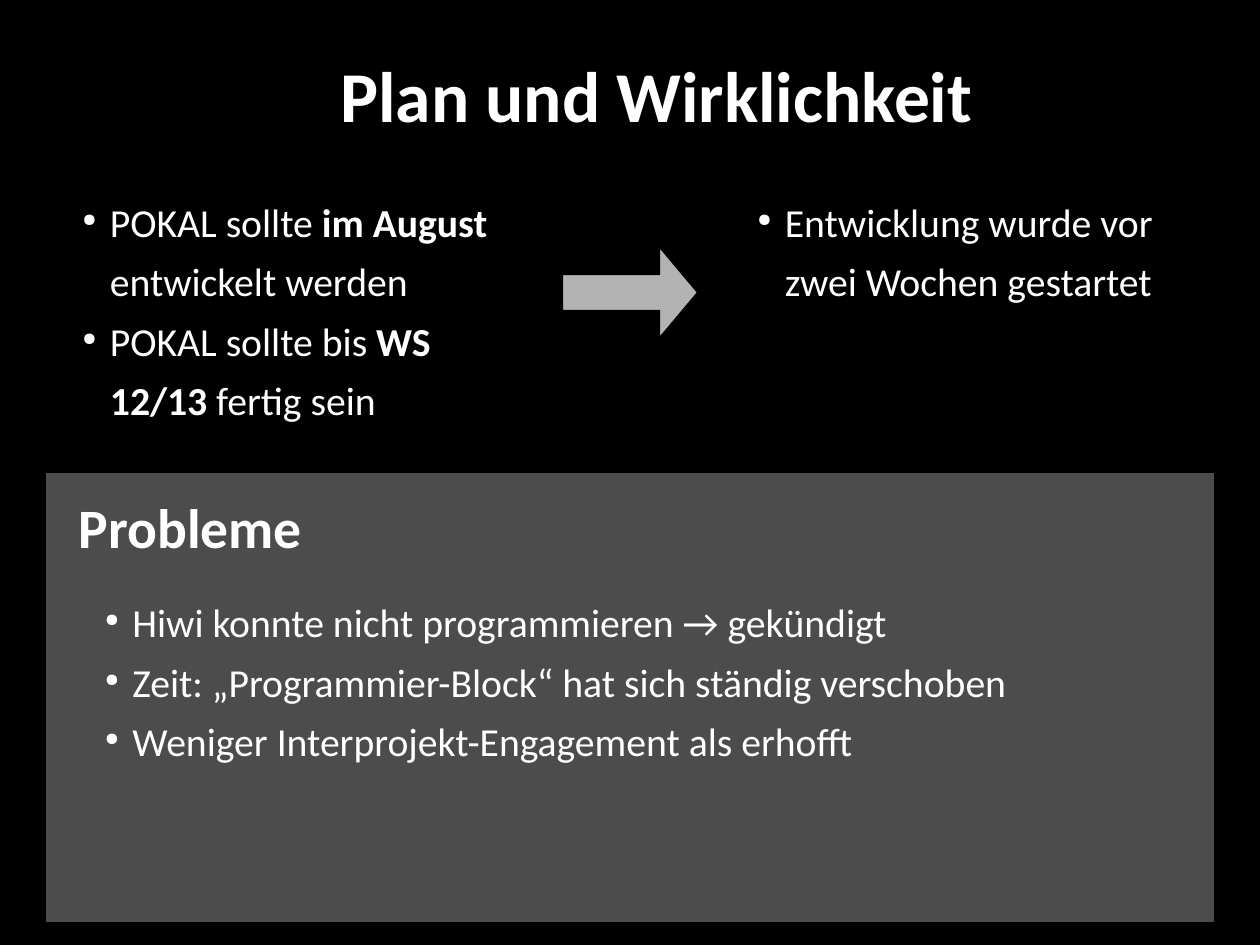
from dataclasses import dataclass

from lxml import etree
from pptx import Presentation
from pptx.dml.color import RGBColor
from pptx.enum.shapes import MSO_SHAPE
from pptx.enum.text import MSO_ANCHOR
from pptx.oxml.ns import qn
from pptx.util import Cm, Inches, Pt

RECTANGLE = MSO_SHAPE.RECTANGLE
RIGHT_ARROW = MSO_SHAPE.RIGHT_ARROW
TOP = MSO_ANCHOR.TOP

BLACK = RGBColor(0x00, 0x00, 0x00)
WHITE = RGBColor(0xFF, 0xFF, 0xFF)
PANEL_GREY = RGBColor(0x4C, 0x4C, 0x4C)
ARROW_GREY = RGBColor(0xB3, 0xB3, 0xB3)

FONT = "Calibri"
BODY_SIZE = 25
BULLET_INDENT = Inches(0.24)
TEXT_INDENT = Inches(0.47)

# Grid of half-centimetre cells
COLUMNS, ROWS = 56, 42
CELL = Cm(0.5)


@dataclass(frozen=True)
class Area:
    column: float
    row: float
    columns: float
    rows: float

    def lengths(self) -> list[int]:
        return [round(cells * CELL)
                for cells in (self.column, self.row, self.columns, self.rows)]


@dataclass(frozen=True)
class Heading:
    area: Area
    text: str
    size: int


@dataclass(frozen=True)
class BulletList:
    area: Area
    items: list[list[str]]  # every second span of an item is bold


TITLE = Heading(Area(14.63, 2, 39.4, 4.4), "Plan und Wirklichkeit", 45)
PROBLEMS = Heading(Area(3, 21.64, 39.4, 4.4), "Probleme", 35)

PLAN_LIST = BulletList(Area(2, 8, 21, 20), [
    ["POKAL sollte ", "im August", " entwickelt werden"],
    ["POKAL sollte bis ", "WS 12/13", " fertig sein"],
])
REALITY_LIST = BulletList(Area(32, 8, 21, 20), [
    ["Entwicklung wurde vor zwei Wochen gestartet"],
])
PROBLEM_LIST = BulletList(Area(3, 25.8, 47, 14.2), [
    ["Hiwi konnte nicht programmieren → gekündigt"],
    ["Zeit: „Programmier-Block“ hat sich ständig verschoben"],
    ["Weniger Interprojekt-Engagement als erhofft"],
])

ARROW_AREA = Area(25, 11, 6, 4)
PANEL_AREA = Area(2, 21, 52, 20)


def add_text_frame(slide, area: Area):
    frame = slide.shapes.add_textbox(*area.lengths()).text_frame
    frame.word_wrap = True
    frame.vertical_anchor = TOP
    return frame


def add_span(para, text: str, size: int, bold: bool) -> None:
    span = para.add_run()
    span.text = text
    span.font.name = FONT
    span.font.size = Pt(size)
    span.font.bold = bold
    span.font.color.rgb = WHITE


def add_heading(slide, heading: Heading) -> None:
    frame = add_text_frame(slide, heading.area)
    add_span(frame.paragraphs[0], heading.text, heading.size, True)


def set_bullet(para) -> None:
    properties = para._p.get_or_add_pPr()
    properties.set("marL", str(TEXT_INDENT))
    properties.set("indent", str(-BULLET_INDENT))
    color = etree.SubElement(properties, qn("a:buClr"))
    etree.SubElement(color, qn("a:srgbClr"), val=str(WHITE))
    etree.SubElement(properties, qn("a:buSzPct"), val="45000")
    etree.SubElement(properties, qn("a:buChar"), char="●")


def add_bullet_list(slide, bullets: BulletList) -> None:
    frame = add_text_frame(slide, bullets.area)
    for index, item in enumerate(bullets.items):
        para = frame.add_paragraph() if index else frame.paragraphs[0]
        set_bullet(para)
        para.line_spacing = 1.25
        for position, text in enumerate(item):
            add_span(para, text, BODY_SIZE, position % 2 == 1)


def add_plain_shape(slide, kind, area: Area, color: RGBColor):
    shape = slide.shapes.add_shape(kind, *area.lengths())
    shape.shadow.inherit = False
    shape.fill.solid()
    shape.fill.fore_color.rgb = color
    shape.line.color.rgb = BLACK
    shape.line.width = Pt(0)
    return shape


def main() -> None:
    deck = Presentation()
    deck.slide_width = COLUMNS * CELL
    deck.slide_height = ROWS * CELL
    slide = deck.slides.add_slide(deck.slide_layouts[6])
    slide.background.fill.solid()
    slide.background.fill.fore_color.rgb = BLACK

    # Plan on the left, reality on the right
    add_heading(slide, TITLE)
    add_bullet_list(slide, PLAN_LIST)
    arrow = add_plain_shape(slide, RIGHT_ARROW, ARROW_AREA, ARROW_GREY)
    arrow.adjustments[0] = 0.4
    arrow.adjustments[1] = 0.42
    add_bullet_list(slide, REALITY_LIST)

    # Problems panel
    add_plain_shape(slide, RECTANGLE, PANEL_AREA, PANEL_GREY)
    add_heading(slide, PROBLEMS)
    add_bullet_list(slide, PROBLEM_LIST)

    deck.save("out.pptx")


if __name__ == "__main__":
    main()
